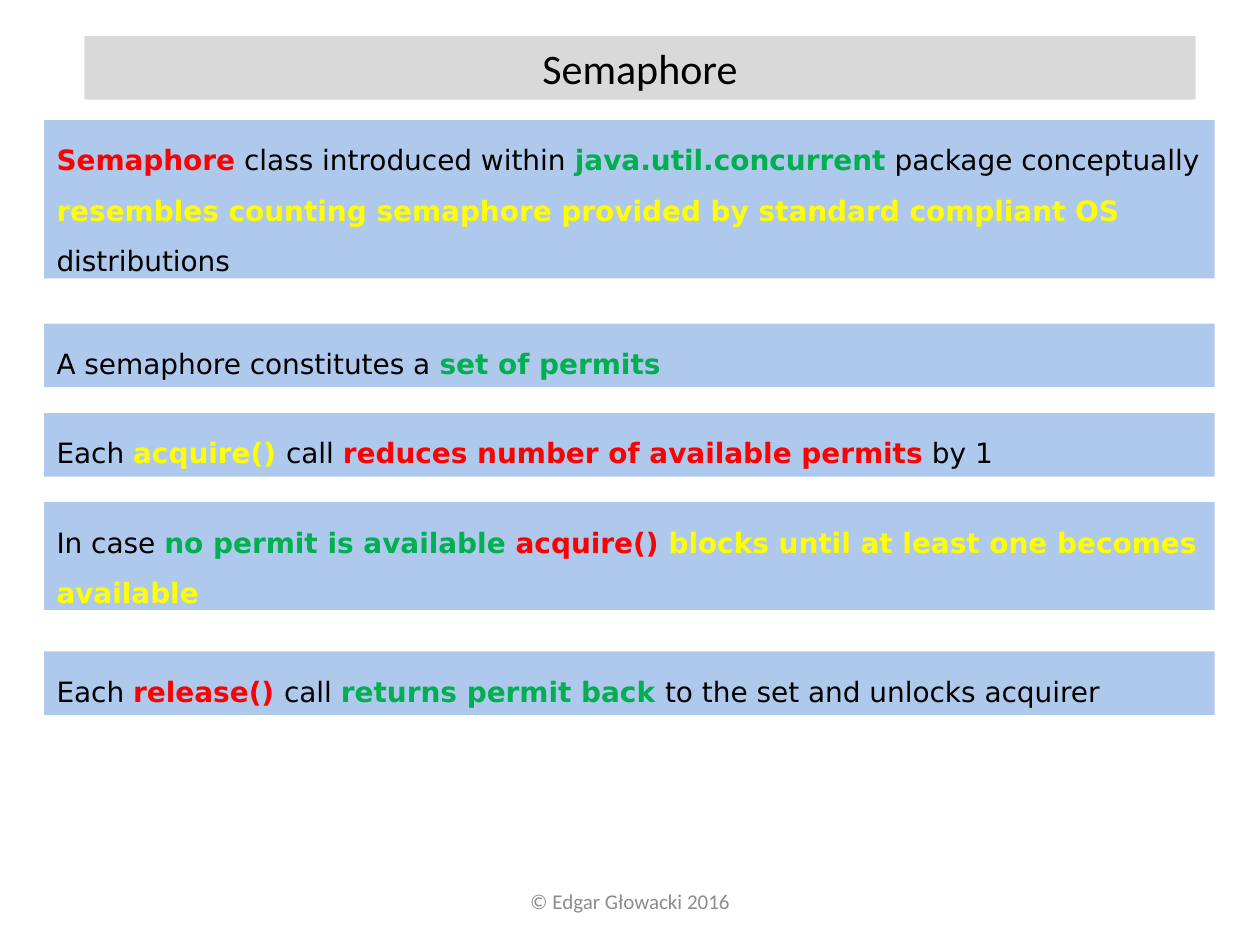
import pptx
import pptx.util
import pptx.dml.color
import pptx.enum.shapes
import pptx.enum.text
import pptx.oxml.ns
import lxml.etree

Pt = pptx.util.Pt
ALIGN = pptx.enum.text.PP_ALIGN
ANCHOR = pptx.enum.text.MSO_ANCHOR
COLORS = {
    "black": "000000",
    "red": "FF0000",
    "green": "00B050",
    "yellow": "FFFF00",
    "title": "D9D9D9",
    "panel": "8EB4E3",
    "footer": "8C8C8C",
}


def rgb(name):
    return pptx.dml.color.RGBColor.from_string(COLORS[name])


def add_run(p, text, font="DejaVu Sans", size=16, color="black", bold=False):
    r = p.add_run()
    r.text = text
    r.font.name = font
    r.font.size = Pt(size)
    r.font.bold = bold
    r.font.color.rgb = rgb(color)


class SlideBuilder:
    """Holds the slide and the style shared by its elements."""

    heading_font = "Calibri"
    panel_left = 25.2
    panel_width = 668.9
    panel_opacity = 71

    def __init__(self, s):
        self.s = s

    def bar(self, left, top, width, height, fill):
        kind = pptx.enum.shapes.MSO_SHAPE.RECTANGLE
        sp = self.s.shapes.add_shape(kind, Pt(left), Pt(top), Pt(width), Pt(height))
        sp.shadow.inherit = False
        sp.fill.solid()
        sp.fill.fore_color.rgb = rgb(fill)
        sp.line.fill.background()
        tf = sp.text_frame
        tf.word_wrap = True
        tf.vertical_anchor = ANCHOR.TOP
        tf.auto_size = pptx.enum.text.MSO_AUTO_SIZE.SHAPE_TO_FIT_TEXT
        return sp

    def title(self, text):
        sp = self.bar(48.2, 20.7, 635, 36.3, "title")
        p = sp.text_frame.paragraphs[0]
        p.alignment = ALIGN.CENTER
        add_run(p, text, font=self.heading_font, size=24)

    def panel(self, top, height, runs):
        sp = self.bar(self.panel_left, top, self.panel_width, height, "panel")
        qn = pptx.oxml.ns.qn
        clr = sp.fill._xPr.find(qn("a:solidFill")).find(qn("a:srgbClr"))
        alpha = lxml.etree.SubElement(clr, qn("a:alpha"))
        alpha.set("val", str(self.panel_opacity * 1000))
        p = sp.text_frame.paragraphs[0]
        p.alignment = ALIGN.LEFT
        p.line_spacing = 1.5
        for text, color in runs:
            add_run(p, text, color=color, bold=color != "black")

    def footer(self, text):
        sp = self.s.shapes.add_textbox(Pt(246), Pt(500.5), Pt(228), Pt(28.8))
        tf = sp.text_frame
        tf.word_wrap = True
        tf.vertical_anchor = ANCHOR.MIDDLE
        p = tf.paragraphs[0]
        p.alignment = ALIGN.CENTER
        add_run(p, text, font=self.heading_font, size=12, color="footer")


PANELS = [
    (68.6, 90.5, [
        ("Semaphore", "red"),
        (" class introduced within ", "black"),
        ("java.util.concurrent", "green"),
        (" package conceptually ", "black"),
        ("resembles counting semaphore provided by standard compliant OS ", "yellow"),
        ("distributions", "black"),
    ]),
    (185, 36.3, [
        ("A semaphore constitutes a ", "black"),
        ("set of permits", "green"),
    ]),
    (236, 36.3, [
        ("Each ", "black"),
        ("acquire() ", "yellow"),
        ("call ", "black"),
        ("reduces number of available permits", "red"),
        (" by 1", "black"),
    ]),
    (287, 61.5, [
        ("In case ", "black"),
        ("no permit is available ", "green"),
        ("acquire() ", "red"),
        ("blocks until at least one becomes available", "yellow"),
    ]),
    (372.2, 36.3, [
        ("Each ", "black"),
        ("release() ", "red"),
        ("call ", "black"),
        ("returns permit back ", "green"),
        ("to the set and unlocks acquirer", "black"),
    ]),
]


def main():
    prs = pptx.Presentation()
    prs.slide_width = Pt(720)
    prs.slide_height = Pt(540)
    builder = SlideBuilder(prs.slides.add_slide(prs.slide_layouts[6]))
    builder.footer("© Edgar Głowacki 2016")
    builder.title("Semaphore")
    for top, height, runs in PANELS:
        builder.panel(top, height, runs)
    prs.save("out.pptx")


if __name__ == "__main__":
    main()
